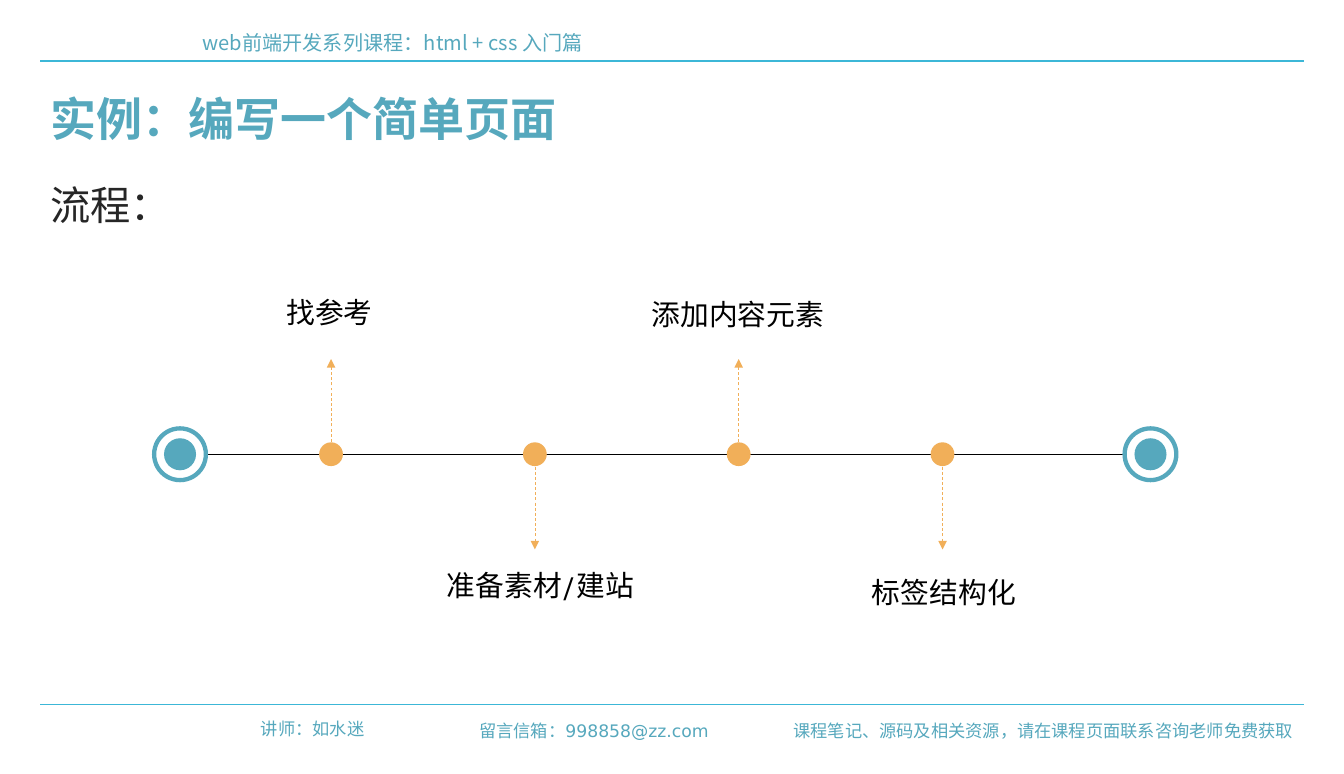
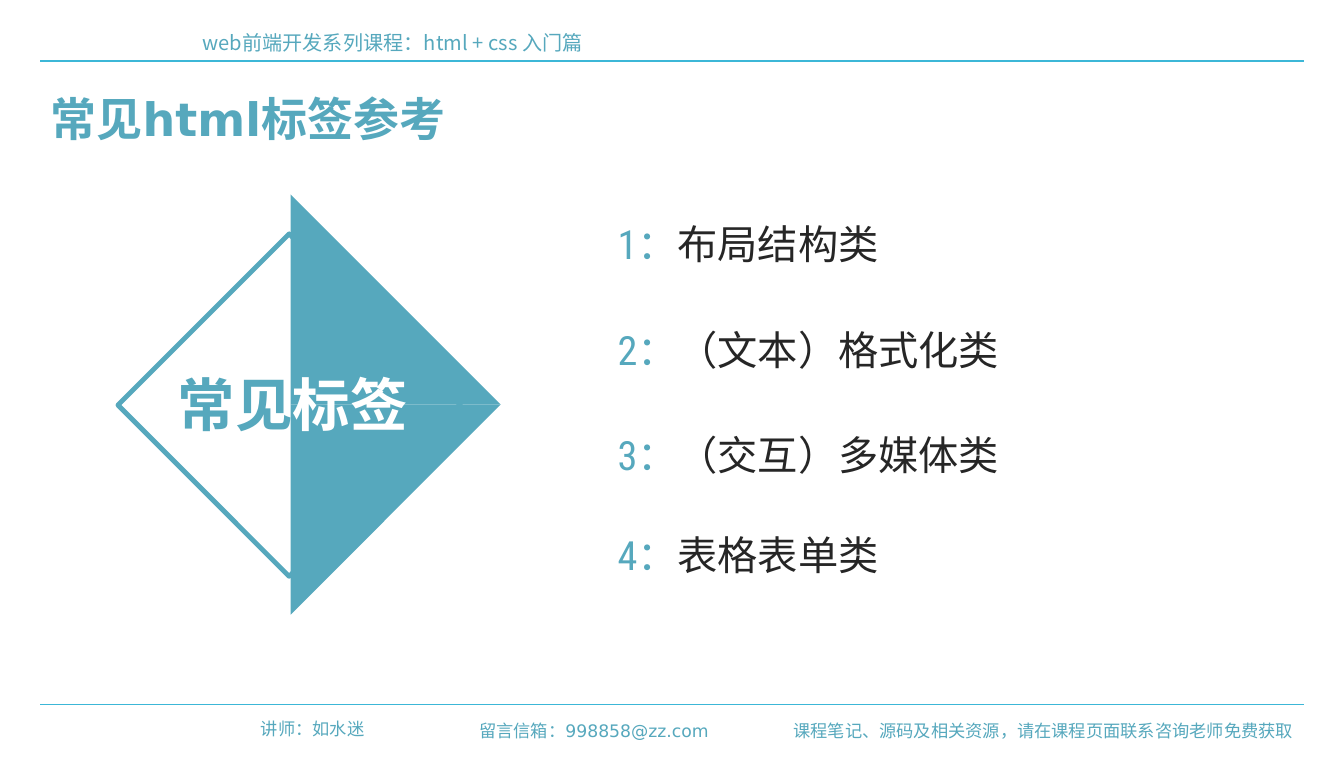
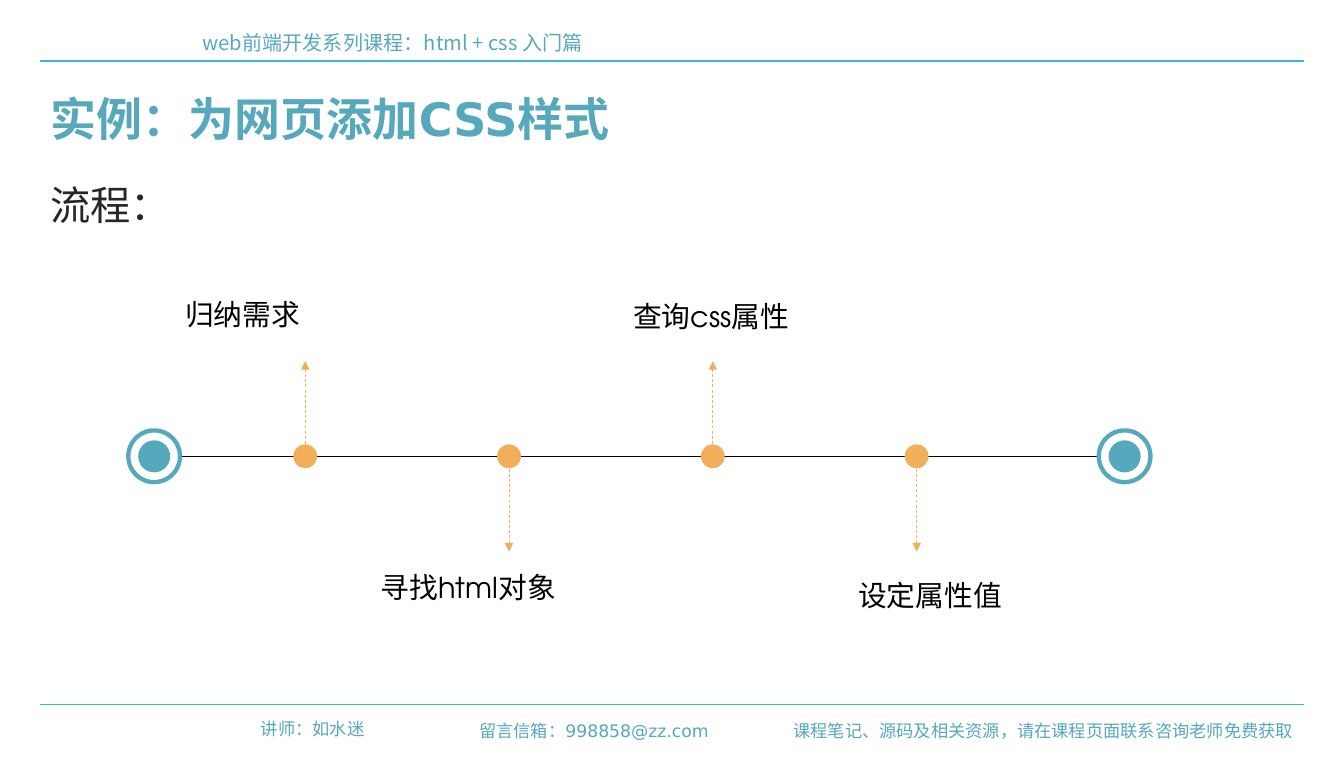
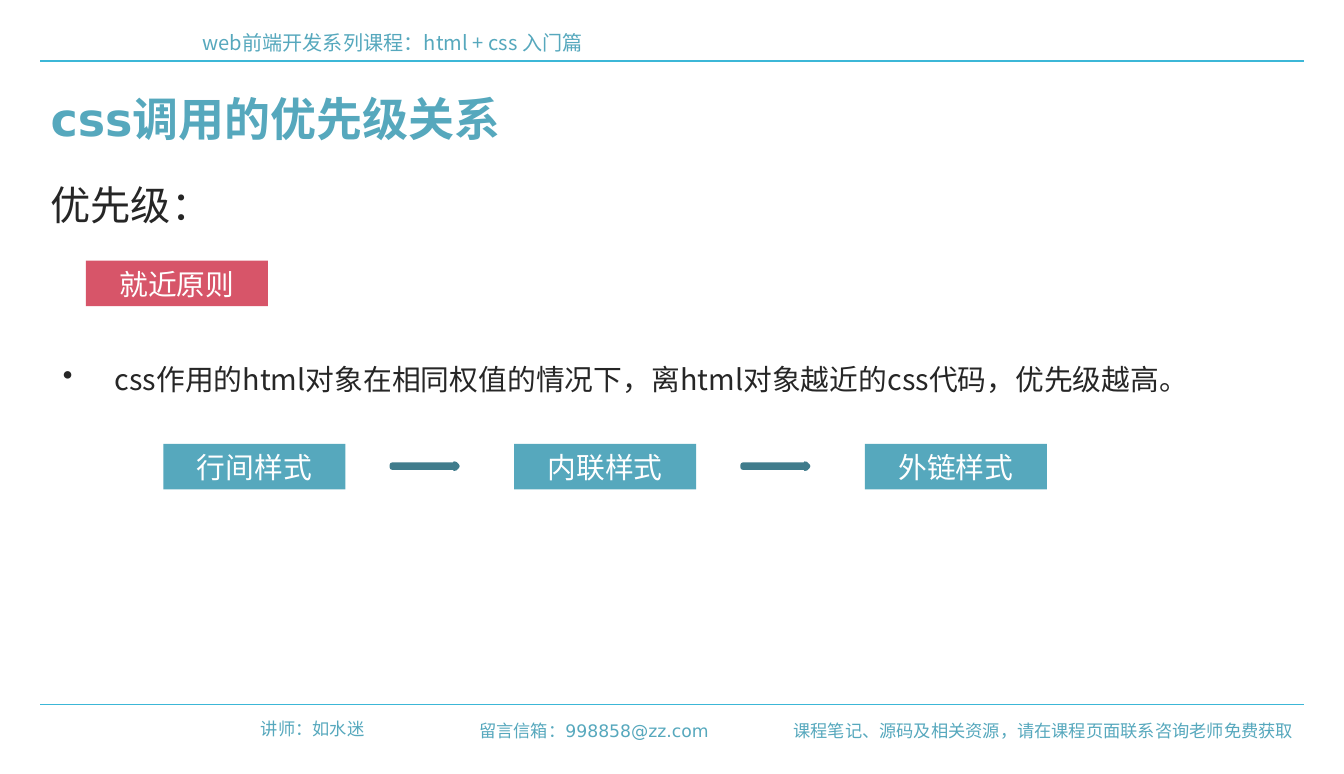
"""Builds four web-course slides with shared header, footer and title style."""
from dataclasses import dataclass

from lxml import etree
from pptx import Presentation
from pptx.dml.color import RGBColor as RGB
from pptx.enum.dml import MSO_LINE
from pptx.enum.lang import MSO_LANGUAGE_ID as LANG
from pptx.enum.shapes import MSO_CONNECTOR, MSO_SHAPE as SHAPE
from pptx.enum.text import MSO_ANCHOR, MSO_AUTO_SIZE as FIT, PP_ALIGN as ALIGN
from pptx.oxml.ns import qn
from pptx.util import Inches, Pt


@dataclass(frozen=True)
class Theme:
    teal: str = "56A8BD"
    dark_teal: str = "407C8C"
    rule: str = "3CB7D7"
    orange: str = "F1AF59"
    red: str = "D75569"
    ink: str = "262626"
    black: str = "000000"
    white: str = "FFFFFF"
    cjk: str = "Noto Sans CJK SC"
    plain: str = "DejaVu Sans"
    narrow: str = "Roboto Condensed"
    round: str = "TeX Gyre Adventor"
    badge: int = 40
    title: int = 32
    heading: int = 28
    body: int = 20
    header: int = 14
    footer: int = 12


T = Theme()


class Deck:
    def __init__(self):
        self.prs = Presentation()
        self.prs.slide_width = Inches(12.99)
        self.prs.slide_height = Inches(7.48)
        self.s = None

    def slide(self, title, heading=None):
        self.s = self.prs.slides.add_slide(self.prs.slide_layouts[6])
        for y in (0.59, 6.81):
            self.line(0.39, y, 12.6, y, T.rule, 0.75)
        self.text(1.86, 0.24, 10.51, 0.34, [("web前端开发系列课程：html + css 入门篇", T.teal)],
                  T.header, T.cjk)
        for x, y, w, note in (
            (2.24, 6.89, 1.38, "讲师：如水迷"),
            (7.52, 6.91, 5.08, "课程笔记、源码及相关资源，请在课程页面联系咨询老师免费获取"),
            (4.29, 6.91, 2.66, "留言信箱：998858@zz.com"),
        ):
            self.text(x, y, w, 0.3, [(note, T.teal)], T.footer, T.plain, ALIGN.RIGHT)
        self.text(0.39, 0.83, 12.2, 0.64, [(title, T.teal)], T.title, T.plain, bold=True)
        if heading:
            self.text(0.39, 1.69, 4.17, 0.57, [(heading, T.ink)], T.heading, T.cjk)

    def fill_text(self, tf, parts, size, font, align=ALIGN.LEFT, bold=False):
        tf.word_wrap = True
        p = tf.paragraphs[0]
        p.alignment = align
        p.text = parts[0][0]
        for words, _ in parts[1:]:
            p.add_run().text = words
        for r, (_, color) in zip(p.runs, parts):
            r.font.size = Pt(size)
            r.font.bold = bold
            r.font.name = font
            r.font.color.rgb = RGB.from_string(color)
            r.font.language_id = LANG.SIMPLIFIED_CHINESE
            etree.SubElement(r._r.get_or_add_rPr(), qn("a:ea")).set("typeface", font)
        return p

    def text(self, x, y, w, h, parts, size, font, align=ALIGN.LEFT, bold=False):
        tf = self.s.shapes.add_textbox(Inches(x), Inches(y), Inches(w), Inches(h)).text_frame
        tf.auto_size = FIT.SHAPE_TO_FIT_TEXT
        return self.fill_text(tf, parts, size, font, align, bold)

    def bullet(self, x, y, w, h, words):
        p = self.text(x, y, w, h, [(words, T.ink)], T.body, T.cjk, ALIGN.JUSTIFY)
        p.line_spacing = 2.0
        pPr = p._p.get_or_add_pPr()
        pPr.set("marL", str(Inches(0.5)))
        pPr.set("indent", str(Inches(-0.5)))
        etree.SubElement(pPr, qn("a:buChar")).set("char", "•")

    def paint(self, sp, fill=None, line=None, width=1):
        sp.shadow.inherit = False
        if fill:
            sp.fill.solid()
            sp.fill.fore_color.rgb = RGB.from_string(fill)
        else:
            sp.fill.background()
        if line:
            sp.line.color.rgb = RGB.from_string(line)
            sp.line.width = Pt(width)
        else:
            sp.line.fill.background()
        return sp

    def shape(self, kind, x, y, w, h, fill=None, line=None, width=1):
        sp = self.s.shapes.add_shape(kind, Inches(x), Inches(y), Inches(w), Inches(h))
        return self.paint(sp, fill, line, width)

    def polygon(self, points, fill):
        start, *rest = [(Inches(x), Inches(y)) for x, y in points]
        builder = self.s.shapes.build_freeform(*start)
        builder.add_line_segments(rest, close=True)
        self.paint(builder.convert_to_shape(), fill)

    def circle(self, cx, cy, d, fill, line=None, width=1):
        self.shape(SHAPE.OVAL, cx - d / 2, cy - d / 2, d, d, fill, line, width)

    def label_box(self, x, y, words, fill):
        sp = self.shape(SHAPE.RECTANGLE, x, y, 1.76, 0.44, fill)
        sp.text_frame.vertical_anchor = MSO_ANCHOR.MIDDLE
        self.fill_text(sp.text_frame, [(words, T.white)], T.body, T.cjk, ALIGN.CENTER)

    def line(self, x1, y1, x2, y2, color, width, arrow=False):
        c = self.s.shapes.add_connector(
            MSO_CONNECTOR.STRAIGHT, Inches(x1), Inches(y1), Inches(x2), Inches(y2))
        c.line.color.rgb = RGB.from_string(color)
        c.line.width = Pt(width)
        spPr = c._element.spPr
        if arrow:
            c.line.dash_style = MSO_LINE.DASH
            etree.SubElement(spPr.find(qn("a:ln")), qn("a:tailEnd")).set("type", "triangle")
        etree.SubElement(spPr, qn("a:effectLst"))

    def timeline(self, x, y, steps):
        self.line(x, y, x + 9.38, y, T.black, 0.5)
        for end in (x, x + 9.38):
            self.circle(end, y, 0.5, T.white, T.teal, 3)
            self.circle(end, y, 0.31, T.teal)
        for i, (words, left, width, align) in enumerate(steps):
            cx = x + 1.46 + 1.97 * i
            side = 1 if i % 2 else -1
            self.circle(cx, y, 0.23, T.orange)
            self.line(cx, y + 0.12 * side, cx, y + 0.92 * side, T.orange, 0.5, arrow=True)
            top = y + (-1.59, 1.05, -1.57, 1.12)[i]
            self.text(left, top, width, 0.44, [(words, T.black)], T.body, T.round, align)


def main():
    deck = Deck()

    deck.slide("实例：编写一个简单页面", "流程：")
    deck.timeline(1.74, 4.39, [
        ("找参考", 2.67, 1.04, ALIGN.LEFT),
        ("准备素材/建站", 4.22, 2.01, ALIGN.LEFT),
        ("添加内容元素", 6.2, 1.88, ALIGN.LEFT),
        ("标签结构化", 8.33, 1.63, ALIGN.LEFT),
    ])

    deck.slide("常见html标签参考")
    for tip in (5.94, 1.88):
        deck.polygon([(2.81, tip), (4.84, 3.91), (2.81, 3.91)], T.teal)
    deck.shape(SHAPE.DIAMOND, 1.14, 2.26, 3.31, 3.31, line=T.teal, width=3.35)
    deck.text(1.62, 3.52, 2.61, 0.77, [("常见", T.teal), ("标签", T.white)],
              T.badge, T.cjk, bold=True)
    kinds = ((2.07, "布局结构类"), (3.09, "（文本）格式化类"),
             (4.11, "（交互）多媒体类"), (5.08, "表格表单类"))
    for n, (y, kind) in enumerate(kinds, 1):
        deck.text(5.87, y, 5.75, 0.57, [(f"{n}：", T.teal), (kind, T.ink)], T.heading, T.narrow)

    deck.slide("实例：为网页添加CSS样式", "流程：")
    deck.timeline(1.49, 4.41, [
        ("归纳需求", 1.69, 1.32, ALIGN.LEFT),
        ("寻找html对象", 3.58, 1.91, ALIGN.LEFT),
        ("查询css属性", 6.02, 1.72, ALIGN.LEFT),
        ("设定属性值", 7.89, 2.2, ALIGN.CENTER),
    ])

    deck.slide("css调用的优先级关系", "优先级：")
    deck.bullet(0.51, 3.11, 11.7, 0.67,
                "css作用的html对象在相同权值的情况下，离html对象越近的css代码，优先级越高。")
    deck.label_box(0.83, 2.52, "就近原则", T.red)
    for i, words in enumerate(("行间样式", "内联样式", "外链样式")):
        x = 1.58 + 3.39 * i
        deck.label_box(x, 4.29, words, T.teal)
        if i:
            deck.shape(SHAPE.RIGHT_ARROW, x - 1.18, 4.48, 0.63, 0.05, T.teal, T.dark_teal, 3.35)

    deck.prs.save("out.pptx")


if __name__ == "__main__":
    main()
